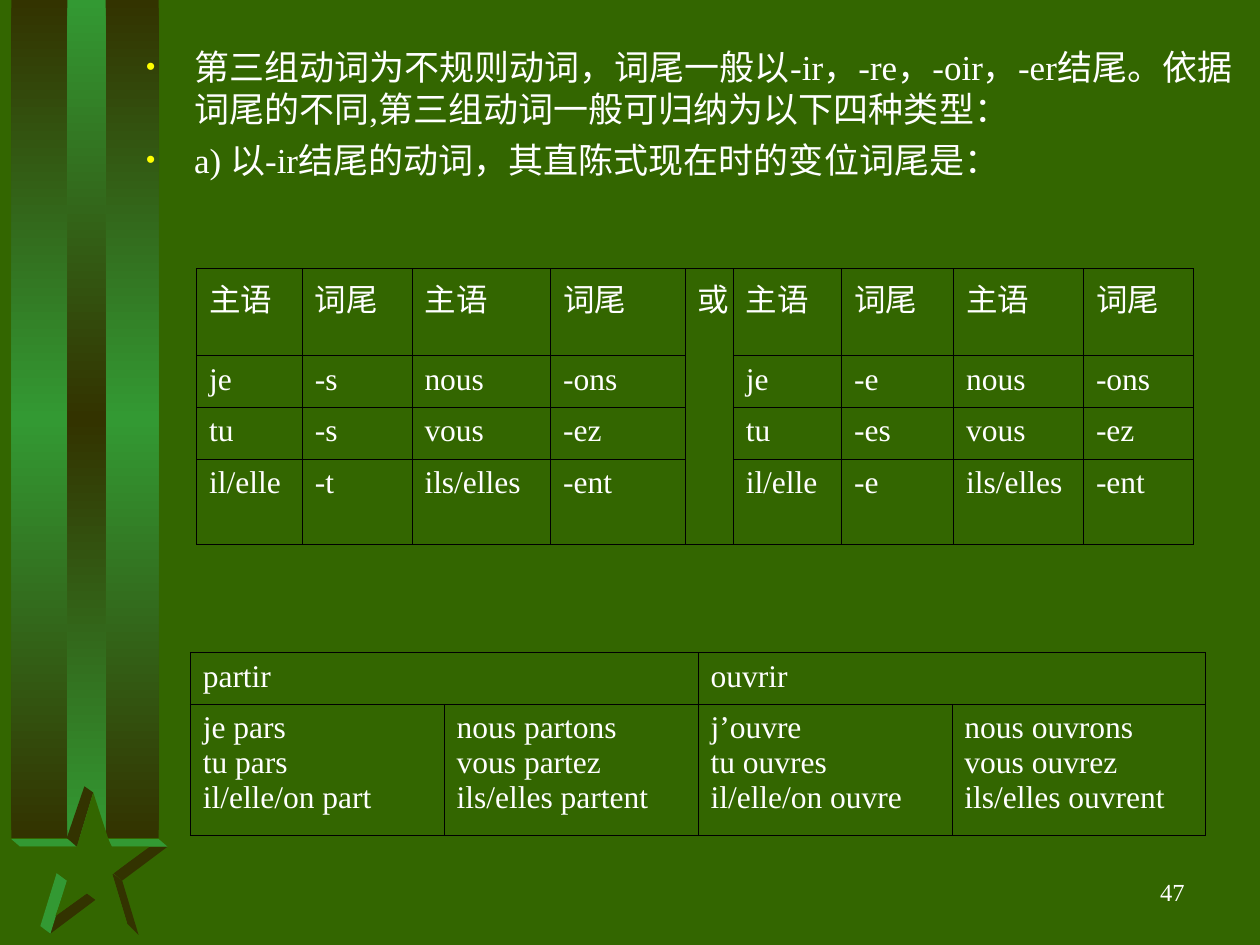
from collections import namedtuple
from copy import deepcopy

from lxml.etree import SubElement
from pptx import Presentation
from pptx.dml.color import RGBColor
from pptx.enum.shapes import MSO_SHAPE
from pptx.enum.text import MSO_ANCHOR, MSO_AUTO_SIZE, PP_ALIGN
from pptx.oxml.ns import qn
from pptx.util import Inches, Pt

Box = namedtuple("Box", "left top width height")

GREEN = RGBColor(0x33, 0x66, 0x00)
LEAF = RGBColor(0x33, 0x99, 0x33)
BARK = RGBColor(0x33, 0x33, 0x00)
WHITE = RGBColor(0xFF, 0xFF, 0xFF)
YELLOW = RGBColor(0xFF, 0xFF, 0x00)
BLACK = RGBColor(0x00, 0x00, 0x00)
FONT = "Times New Roman"
HUNDREDTH = Inches(0.01)

STAR_PARTS = [
    (BARK, [(81, 69), (88, 75), (124, 48), (110, 48)]),
    (LEAF, [(0, 42), (7, 48), (53, 48), (45, 42)]),
    (BARK, [(52, 48), (65, 5), (58, 0), (44, 41)]),
    (LEAF, [(80, 48), (77, 42), (117, 42), (124, 48)]),
    (BARK, [(24, 111), (31, 117), (67, 90), (60, 85)]),
    (BARK, [(92, 109), (101, 118), (88, 75), (80, 69)]),
    (LEAF, [(31, 117), (44, 75), (36, 69), (23, 111)]),
    (GREEN, [(65, 5), (52, 48), (7, 48), (45, 75), (35, 103),
             (60, 85), (92, 109), (80, 70), (109, 48), (79, 48)]),
]

RULES = [
    "第三组动词为不规则动词，词尾一般以-ir，-re，-oir，-er结尾。"
    "依据词尾的不同,第三组动词一般可归纳为以下四种类型：",
    "a) 以-ir结尾的动词，其直陈式现在时的变位词尾是：",
]
HEADER = ["主语", "词尾"] * 2
ENDINGS = [
    HEADER + ["或"] + HEADER,
    ["je", "-s", "nous", "-ons", "", "je", "-e", "nous", "-ons"],
    ["tu", "-s", "vous", "-ez", "", "tu", "-es", "vous", "-ez"],
    ["il/elle", "-t", "ils/elles", "-ent", "", "il/elle", "-e", "ils/elles", "-ent"],
]
EXAMPLES = [
    ["partir", "", "ouvrir", ""],
    ["je pars\ntu pars\nil/elle/on part",
     "nous partons\nvous partez\nils/elles partent",
     "j’ouvre\ntu ouvres\nil/elle/on ouvre",
     "nous ouvrons\nvous ouvrez\nils/elles ouvrent"],
]


def inches(box):
    """Convert a box in inches to lengths."""
    return [Inches(side) for side in box]


def style(para, size):
    """Give a paragraph the slide's font."""
    para.font.name = FONT
    para.font.size = Pt(size)
    para.font.color.rgb = WHITE


def add_band(page, box, edge, middle):
    """Draw a vertical band shaded from edge to middle and back."""
    band = page.shapes.add_shape(MSO_SHAPE.RECTANGLE, *inches(box))
    band.shadow.inherit = False
    band.line.fill.background()
    band.fill.gradient()
    band.fill.gradient_angle = 90
    first = band.fill.gradient_stops[0]
    stops = band.element.spPr.find(qn("a:gradFill")).find(qn("a:gsLst"))
    stops.insert(1, deepcopy(stops[0]))
    for stop, place, color in zip(band.fill.gradient_stops, (0, 0.5, 1), (edge, middle, edge)):
        stop.position = place
        stop.color.rgb = color


def add_ribbon(page, box):
    """Draw the ribbon, two nested bands."""
    add_band(page, box, BARK, LEAF)
    inner = Box(box.left + box.width * 0.38, box.top, box.width * 0.26, box.height)
    add_band(page, inner, LEAF, BARK)


def add_star(page, box):
    """Draw the folded star from the top left corner of the box."""
    for color, points in STAR_PARTS:
        builder = page.shapes.build_freeform(*points[0], scale=HUNDREDTH)
        builder.add_line_segments(points[1:], close=True)
        part = builder.convert_to_shape(Inches(box.left), Inches(box.top))
        part.shadow.inherit = False
        part.fill.solid()
        part.fill.fore_color.rgb = color
        part.line.fill.background()


def add_bullet(para):
    """Give a paragraph a small yellow bullet and a hanging indent."""
    props = para._p.get_or_add_pPr()
    props.set("marL", str(Inches(0.38)))
    props.set("indent", str(-Inches(0.38)))
    SubElement(SubElement(props, qn("a:buClr")), qn("a:srgbClr"), val=str(YELLOW))
    SubElement(props, qn("a:buSzPct"), val="75000")
    SubElement(props, qn("a:buChar"), char="•")


def fill_body(body, box):
    """Place the body placeholder in front and write the rules."""
    body.element.getparent().append(body.element)
    body.left, body.top, body.width, body.height = inches(box)
    frame = body.text_frame
    frame.auto_size = MSO_AUTO_SIZE.NONE
    frame.text = "\n".join(RULES)
    for index, para in enumerate(frame.paragraphs):
        add_bullet(para)
        para.space_before = Pt(5 if index else 0)
        style(para, 20)


def add_borders(cell):
    """Draw thin black lines on all four sides of a cell."""
    props = cell._tc.get_or_add_tcPr()
    for side in "LRTB":
        line = SubElement(props, qn("a:ln" + side), w=str(Pt(0.45)))
        SubElement(SubElement(line, qn("a:solidFill")), qn("a:srgbClr"), val=str(BLACK))


def add_grid(page, box, rows, column_shares, row_shares, merges):
    """Add a ruled table whose columns and rows share out the box."""
    size = len(rows), len(column_shares)
    table = page.shapes.add_table(*size, *inches(box)).table
    table.first_row = table.horz_banding = False
    for column, share in zip(table.columns, column_shares):
        column.width = Inches(box.width * share / sum(column_shares))
    for row, share in zip(table.rows, row_shares):
        row.height = Inches(box.height * share / sum(row_shares))
    for start, end in merges:
        table.cell(*start).merge(table.cell(*end))
    for cell, text in zip(table.iter_cells(), sum(rows, [])):
        add_borders(cell)
        cell.fill.background()
        cell.text = text
        for para in cell.text_frame.paragraphs:
            style(para, 18)


def add_page_number(page, box, number):
    """Write the page number at the right of the box."""
    frame = page.shapes.add_textbox(*inches(box)).text_frame
    frame.word_wrap = True
    frame.vertical_anchor = MSO_ANCHOR.MIDDLE
    para = frame.paragraphs[0]
    para.text = number
    para.alignment = PP_ALIGN.RIGHT
    style(para, 14)


def main():
    """Build and save the slide."""
    deck = Presentation()
    deck.slide_width, deck.slide_height = Inches(10), Inches(7.5)
    page = deck.slides.add_slide(deck.slide_layouts[1])
    page.background.fill.solid()
    page.background.fill.fore_color.rgb = GREEN
    title = page.shapes.title.element
    title.getparent().remove(title)

    add_ribbon(page, Box(0.09, 0, 1.17, 6.65))
    add_star(page, Box(0.09, 6.24, 1.24, 1.18))
    fill_body(page.placeholders[1], Box(1.06, 0.31, 8.94, 1.28))
    add_grid(page, Box(1.56, 2.13, 7.91, 2.19), ENDINGS,
             [0.84, 0.87, 1.1, 1.07, 0.38, 0.86, 0.89, 1.03, 0.87],
             [0.69, 0.41, 0.41, 0.67], [((0, 4), (3, 4))])
    add_grid(page, Box(1.51, 5.18, 8.06, 1.45), EXAMPLES,
             [1] * 4, [0.41, 1.04], [((0, 0), (0, 1)), ((0, 2), (0, 3))])
    add_page_number(page, Box(7.42, 6.83, 2.08, 0.5), "47")
    deck.save("out.pptx")


if __name__ == "__main__":
    main()
